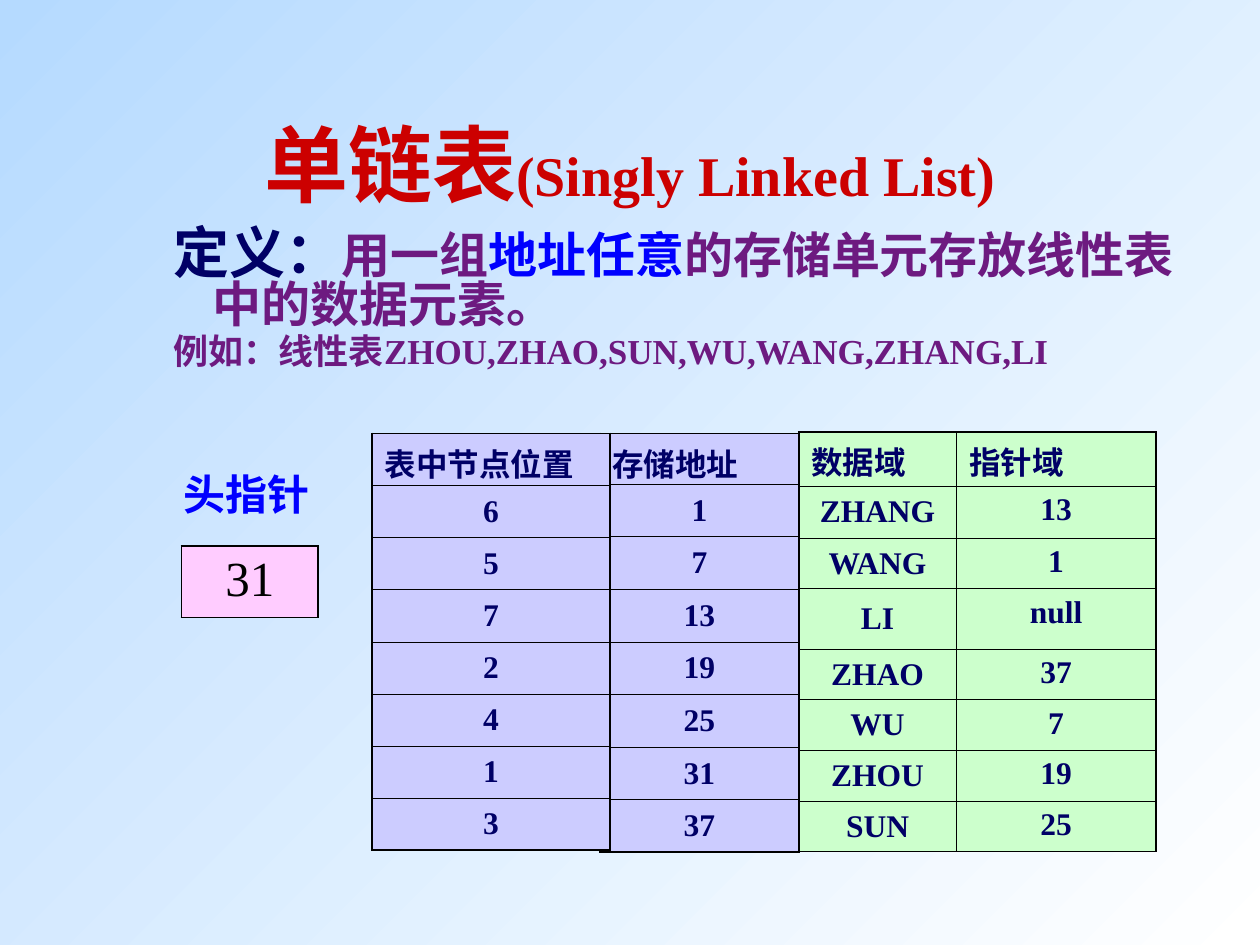
from lxml import etree
from pptx import Presentation
from pptx.dml.color import RGBColor
from pptx.enum import text
from pptx.oxml import ns
from pptx.util import Cm, Pt

RED = RGBColor(0xCC, 0x00, 0x00)
NAVY = RGBColor(0x00, 0x00, 0x66)
BLUE = RGBColor(0x00, 0x00, 0xFF)
PURPLE = RGBColor(0x6D, 0x1A, 0x80)
BLACK = RGBColor(0x00, 0x00, 0x00)
WHITE = RGBColor(0xFF, 0xFF, 0xFF)
SKY = RGBColor(0xB5, 0xDA, 0xFF)
GREEN = RGBColor(0xCC, 0xFF, 0xCC)
LILAC = RGBColor(0xCC, 0xCC, 0xFF)
PINK = RGBColor(0xFF, 0xCC, 0xFF)
LATIN, CJK = "Times New Roman", "Noto Sans CJK SC"
THICK, THIN = 1.08, 0.45

TITLE = [("单链表", 48, RED), ("(Singly Linked List)", 32, RED)]
DEFINITION = [
    ("定义：", 32, NAVY),
    ("用一组", 28, PURPLE),
    ("地址任意", 28, BLUE),
    ("的存储单元存放线性表中的数据元素。", 28, PURPLE),
]
EXAMPLE = [("例如：线性表ZHOU,ZHAO,SUN,WU,WANG,ZHANG,LI", 20, PURPLE)]
HEAD_LABEL = [("头指针", 24, BLUE)]

NODES = [["数据域", "指针域"], ["ZHANG", "13"], ["WANG", "1"], ["LI", "null"],
         ["ZHAO", "37"], ["WU", "7"], ["ZHOU", "19"], ["SUN", "25"]]
ADDRESSES = [["存储地址"], ["1"], ["7"], ["13"], ["19"], ["25"], ["31"], ["37"]]
POSITIONS = [["表中节点位置"], ["6"], ["5"], ["7"], ["2"], ["4"], ["1"], ["3"]]
NODE_HEIGHTS = [1.09, 1.05, 1.01, 1.22] + [1.02] * 4
ADDRESS_HEIGHTS = [1.02] + [1.06] * 7
POSITION_HEIGHTS = [1.05] * 8


def write(p, runs, bold=True):
    for words, size, color in runs:
        r = p.add_run()
        r.text = words
        r.font.size, r.font.bold = Pt(size), bold
        r.font.color.rgb = color
        r.font.name = LATIN
        ea = etree.SubElement(r._r.get_or_add_rPr(), ns.qn("a:ea"))
        ea.set("typeface", CJK)


def add_text(s, left, top, width, height, paragraphs, wrap=True):
    tf = s.shapes.add_textbox(Cm(left), Cm(top), Cm(width), Cm(height)).text_frame
    tf.word_wrap = wrap
    for i, runs in enumerate(paragraphs):
        write(tf.paragraphs[0] if i == 0 else tf.add_paragraph(), runs)
    return tf


def set_borders(cell, widths):
    tcPr = cell._tc.get_or_add_tcPr()
    for i, (side, width) in enumerate(zip(("lnL", "lnR", "lnT", "lnB"), widths)):
        ln = etree.Element(ns.qn("a:" + side), w=str(Pt(width)))
        fill = etree.SubElement(ln, ns.qn("a:solidFill"))
        etree.SubElement(fill, ns.qn("a:srgbClr"), val=str(BLACK))
        tcPr.insert(i, ln)


def add_grid(s, left, top, widths, heights, rows, fill,
             size=18, color=NAVY, bold=True, header=True):
    table = s.shapes.add_table(len(rows), len(widths), Cm(left), Cm(top),
                               Cm(sum(widths)), Cm(sum(heights))).table
    table.first_row = table.horz_banding = False
    for column, width in zip(table.columns, widths):
        column.width = Cm(width)
    for row, height in zip(table.rows, heights):
        row.height = Cm(height)
    last_row, last_col = len(rows) - 1, len(widths) - 1
    for i, row in enumerate(rows):
        for j, words in enumerate(row):
            cell = table.cell(i, j)
            cell.fill.solid()
            cell.fill.fore_color.rgb = fill
            p = cell.text_frame.paragraphs[0]
            write(p, [(words, size, color)], bold)
            is_header = header and i == 0
            p.alignment = text.PP_ALIGN.LEFT if is_header else text.PP_ALIGN.CENTER
            at_top = i == 0 or j > 0
            cell.vertical_anchor = text.MSO_ANCHOR.TOP if at_top else text.MSO_ANCHOR.MIDDLE
            edges = (j == 0, j == last_col, i == 0, i == last_row)
            set_borders(cell, [THICK if edge else THIN for edge in edges])
    return table


def main():
    prs = Presentation()
    prs.slide_width, prs.slide_height = Cm(25.4), Cm(19.05)
    s = prs.slides.add_slide(prs.slide_layouts[6])
    background = s.background.fill
    background.gradient()
    background.gradient_angle = 315
    for stop, color in zip(background.gradient_stops, (SKY, WHITE)):
        stop.color.rgb = color

    title = add_text(s, 1.9, 1.7, 21.6, 3.18, [TITLE])
    title.vertical_anchor = text.MSO_ANCHOR.MIDDLE
    title.paragraphs[0].alignment = text.PP_ALIGN.CENTER

    body = add_text(s, 1.98, 4.37, 22.6, 4.17, [DEFINITION, EXAMPLE])
    body.margin_top = Cm(0.25)
    for p in body.paragraphs:
        p.line_spacing = 0.82
        pPr = p._p.get_or_add_pPr()
        pPr.set("marL", str(Cm(2.06)))
        pPr.set("indent", str(Cm(-0.79)))
    body.paragraphs[1].space_before = Pt(2.5)

    add_grid(s, 16.1, 8.71, [3.18, 4.02], NODE_HEIGHTS, NODES, GREEN)
    add_grid(s, 12.09, 8.74, [4.02], ADDRESS_HEIGHTS, ADDRESSES, LILAC)
    add_grid(s, 3.66, 11.01, [2.75], [1.44], [["31"]], PINK,
             size=28, color=BLACK, bold=False, header=False)
    label = add_text(s, 3.45, 9.32, 3.05, 1.27, [HEAD_LABEL], wrap=False)
    label.auto_size = text.MSO_AUTO_SIZE.SHAPE_TO_FIT_TEXT
    positions = add_grid(s, 7.5, 8.74, [4.8], POSITION_HEIGHTS, POSITIONS, LILAC)
    positions.cell(0, 0).margin_bottom = Cm(0)

    prs.save("out.pptx")


if __name__ == "__main__":
    main()
